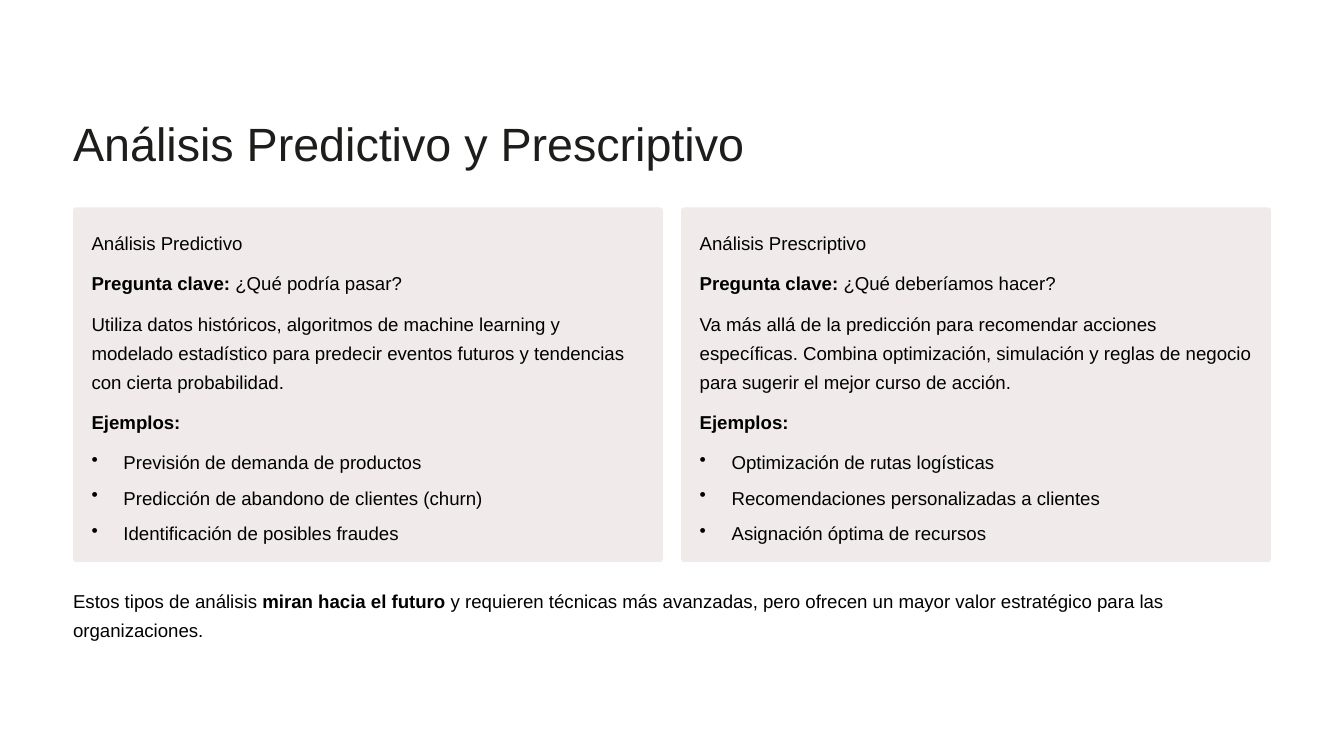
from dataclasses import dataclass

from lxml.etree import SubElement
from pptx import Presentation
from pptx.dml.color import RGBColor
from pptx.enum.shapes import MSO_SHAPE as Preset
from pptx.oxml.ns import qn
from pptx.slide import Slide
from pptx.text.text import _Paragraph as Paragraph
from pptx.util import Inches, Pt


@dataclass(frozen=True)
class Theme:
    font: str = "Arial"
    title_color: RGBColor = RGBColor(0x1D, 0x1D, 0x1B)
    body_color: RGBColor = RGBColor(0, 0, 0)
    card_color: RGBColor = RGBColor(0xF0, 0xEA, 0xEA)
    title_size: float = 40
    title_leading: float = 48.5
    body_size: float = 16
    heading_leading: float = 24
    body_leading: float = 25


@dataclass(frozen=True)
class Span:
    text: str
    bold: bool = False


@dataclass(frozen=True)
class Area:
    left: float
    top: float
    width: float
    height: float


@dataclass(frozen=True)
class Card:
    heading: str
    question: str
    description: str
    examples: tuple[str, ...]


THEME = Theme()
MARGIN = 0.87
CARD_TOP, CARD_WIDTH, CARD_HEIGHT, CARD_PITCH = 2.47, 7.02, 4.22, 7.24
PADDING, TEXT_WIDTH, LINE_HEIGHT = 0.22, 6.59, 0.35
BULLET_TOP, BULLET_PITCH, BULLET_INDENT = 5.29, 0.42, 0.38

CARDS = (
    Card(
        "Análisis Predictivo",
        "¿Qué podría pasar?",
        "Utiliza datos históricos, algoritmos de machine learning y modelado "
        "estadístico para predecir eventos futuros y tendencias con cierta probabilidad.",
        ("Previsión de demanda de productos",
         "Predicción de abandono de clientes (churn)",
         "Identificación de posibles fraudes"),
    ),
    Card(
        "Análisis Prescriptivo",
        "¿Qué deberíamos hacer?",
        "Va más allá de la predicción para recomendar acciones específicas. Combina "
        "optimización, simulación y reglas de negocio para sugerir el mejor curso de acción.",
        ("Optimización de rutas logísticas",
         "Recomendaciones personalizadas a clientes",
         "Asignación óptima de recursos"),
    ),
)


def add_bullet(para: Paragraph) -> None:
    properties = para._p.get_or_add_pPr()
    properties.set("marL", str(Inches(BULLET_INDENT)))
    properties.set("indent", str(-Inches(BULLET_INDENT)))
    SubElement(properties, qn("a:buChar")).set("char", "•")


def add_text(page: Slide, area: Area, *spans: Span, size: float = THEME.body_size,
             leading: float = THEME.body_leading, color: RGBColor = THEME.body_color,
             bullet: bool = False) -> None:
    box = page.shapes.add_textbox(Inches(area.left), Inches(area.top),
                                  Inches(area.width), Inches(area.height))
    frame = box.text_frame
    frame.word_wrap = True
    frame.margin_left = frame.margin_right = frame.margin_top = frame.margin_bottom = 0
    para = frame.paragraphs[0]
    para.line_spacing = Pt(leading)
    if bullet:
        add_bullet(para)
    for span in spans:
        run = para.add_run()
        run.text = span.text
        run.font.name = THEME.font
        run.font.size = Pt(size)
        run.font.bold = span.bold
        run.font.color.rgb = color


def add_card(page: Slide, card: Card, left: float) -> None:
    # Background panel
    panel = page.shapes.add_shape(Preset.ROUNDED_RECTANGLE, Inches(left), Inches(CARD_TOP),
                                  Inches(CARD_WIDTH), Inches(CARD_HEIGHT))
    panel.adjustments[0] = 0.008
    panel.shadow.inherit = False
    panel.fill.solid()
    panel.fill.fore_color.rgb = THEME.card_color
    panel.line.fill.background()

    # Heading, key question and description
    text_left = left + PADDING
    add_text(page, Area(text_left, 2.69, TEXT_WIDTH, LINE_HEIGHT), Span(card.heading),
             leading=THEME.heading_leading)
    add_text(page, Area(text_left, 3.16, TEXT_WIDTH, LINE_HEIGHT),
             Span("Pregunta clave:", bold=True), Span(f" {card.question}"))
    add_text(page, Area(text_left, 3.64, TEXT_WIDTH, 3 * LINE_HEIGHT), Span(card.description))

    # Examples
    add_text(page, Area(text_left, 4.81, TEXT_WIDTH, LINE_HEIGHT), Span("Ejemplos:", bold=True))
    for index, example in enumerate(card.examples):
        top = BULLET_TOP + index * BULLET_PITCH
        add_text(page, Area(text_left, top, TEXT_WIDTH, LINE_HEIGHT), Span(example), bullet=True)


def main() -> None:
    deck = Presentation()
    deck.slide_width, deck.slide_height = Inches(16), Inches(9)
    page = deck.slides.add_slide(deck.slide_layouts[6])

    # Title
    add_text(page, Area(MARGIN, 1.36, 9.05, 0.68), Span("Análisis Predictivo y Prescriptivo"),
             size=THEME.title_size, leading=THEME.title_leading, color=THEME.title_color)

    # Side-by-side cards
    for index, card in enumerate(CARDS):
        add_card(page, card, MARGIN + index * CARD_PITCH)

    # Closing remark
    add_text(page, Area(MARGIN, 6.94, 14.26, 0.69),
             Span("Estos tipos de análisis "), Span("miran hacia el futuro", bold=True),
             Span(" y requieren técnicas más avanzadas, pero ofrecen un mayor valor "
                  "estratégico para las organizaciones."))

    deck.save("out.pptx")


if __name__ == "__main__":
    main()
